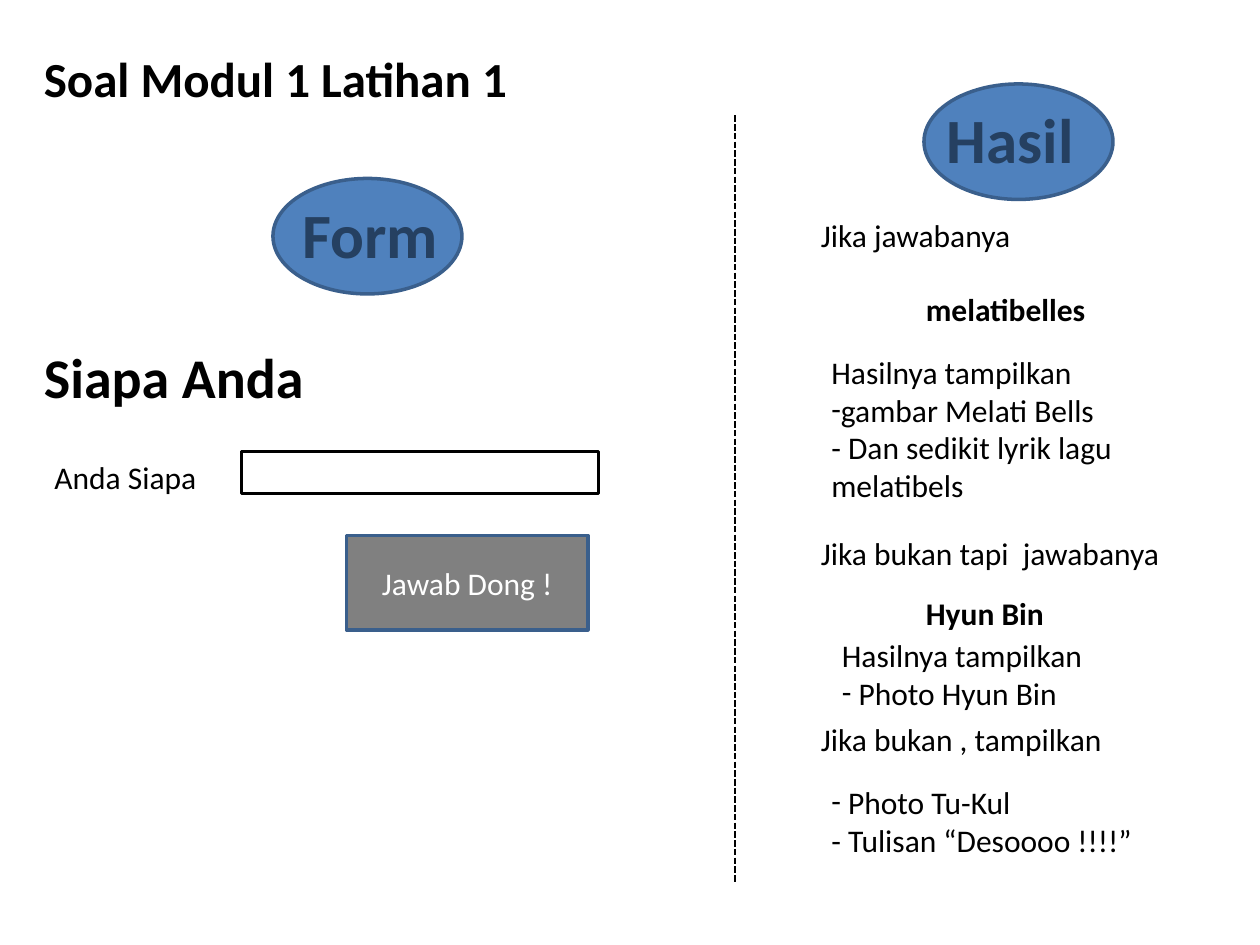
from lxml.etree import SubElement
from pptx import Presentation
from pptx.dml.color import RGBColor
from pptx.enum.dml import MSO_LINE
from pptx.enum.shapes import MSO_CONNECTOR, MSO_SHAPE
from pptx.enum.text import MSO_ANCHOR, MSO_AUTO_SIZE, PP_ALIGN
from pptx.oxml.ns import qn
from pptx.util import Inches, Pt

THEME = {
    "font": "Calibri", "black": "000000", "white": "FFFFFF", "gray": "808080",
    "blue": "4F81BD", "edge": "3A5F8C", "navy": "254061",
    "body": 18, "title": 28, "heading": 32, "badge": 36,
}
COLUMNS, ROWS = 120, 90  # grid of the 10 by 7.5 inch slide

# Shapes: preset, column, row, columns, rows, fill, line, text
SHAPES = [
    (MSO_SHAPE.RECTANGLE, 23, 43, 34, 4, "white", "black", ""),
    (MSO_SHAPE.RECTANGLE, 33, 51, 23, 9, "gray", "edge", "Jawab Dong !"),
    (MSO_SHAPE.OVAL, 26, 17, 18, 11, "blue", "edge", ""),
    (MSO_SHAPE.OVAL, 88, 8, 18, 11, "blue", "edge", ""),
]
DIVIDER = (70, 11, 70, 84)

# Texts: column, row, columns, size, colour, bold, wrap, lines shown, paragraphs
# A paragraph starting with BULLET gets a real dash bullet
BULLET = "•"
TEXTS = [
    (3, 4, 47, "title", "black", True, False, 1, ["Soal Modul 1 Latihan 1"]),
    (27.6, 18, 15.5, "badge", "navy", True, False, 1, ["Form"]),
    (3, 32, 27.4, "heading", "black", True, False, 1, ["Siapa Anda"]),
    (4, 43, 16, "body", "black", False, False, 1, ["Anda Siapa"]),
    (89, 9, 18, "badge", "navy", True, True, 1, ["Hasil"]),
    (77, 20, 21.4, "body", "black", False, False, 1, ["Jika jawabanya "]),
    (87, 27, 17.8, "body", "black", True, False, 1, ["melatibelles"]),
    (78, 33, 36, "body", "black", False, True, 4,
     ["Hasilnya tampilkan ", BULLET + "gambar Melati Bells",
      "- Dan sedikit lyrik lagu melatibels"]),
    (77, 50.25, 35.8, "body", "black", False, False, 1, ["Jika bukan tapi  jawabanya "]),
    (87, 56, 13.8, "body", "black", True, False, 1, ["Hyun Bin"]),
    (79, 60, 36, "body", "black", False, True, 2,
     ["Hasilnya tampilkan ", BULLET + " Photo Hyun Bin"]),
    (77, 68, 30.1, "body", "black", False, False, 1, ["Jika bukan , tampilkan "]),
    (78, 74, 36, "body", "black", False, True, 2,
     [BULLET + " Photo Tu-Kul", "- Tulisan “Desoooo !!!!”"]),
]

deck = Presentation()
deck.slide_width, deck.slide_height = Inches(10), Inches(7.5)
page = deck.slides.add_slide(deck.slide_layouts[6])


def color(name):
    return RGBColor.from_string(THEME[name])


def across(columns):
    return int(deck.slide_width * columns / COLUMNS)


def down(rows):
    return int(deck.slide_height * rows / ROWS)


def style(paragraph, size, ink, bold=False):
    for span in paragraph.runs:
        span.font.name, span.font.size = THEME["font"], Pt(THEME[size])
        span.font.bold, span.font.color.rgb = bold, color(ink)


def add_shape(preset, column, row, columns, rows, fill, line, text):
    shape = page.shapes.add_shape(
        preset, across(column), down(row), across(columns), down(rows))
    shape.shadow.inherit = False
    shape.fill.solid()
    shape.fill.fore_color.rgb = color(fill)
    shape.line.color.rgb, shape.line.width = color(line), Pt(2)
    if text:
        frame = shape.text_frame
        frame.text, frame.vertical_anchor = text, MSO_ANCHOR.MIDDLE
        frame.paragraphs[0].alignment = PP_ALIGN.CENTER
        style(frame.paragraphs[0], "body", "white")


def add_text(column, row, columns, size, ink, bold, wrap, lines, paragraphs):
    height = Pt(THEME[size] * 1.22 * lines) + Inches(0.1)
    box = page.shapes.add_textbox(across(column), down(row), across(columns), height)
    frame = box.text_frame
    frame.word_wrap, frame.auto_size = wrap, MSO_AUTO_SIZE.SHAPE_TO_FIT_TEXT
    frame.text = "\n".join(text.removeprefix(BULLET) for text in paragraphs)
    for para, text in zip(frame.paragraphs, paragraphs):
        style(para, size, ink, bold)
        if text.startswith(BULLET):
            properties = para._p.get_or_add_pPr()
            SubElement(properties, qn("a:buFont"), typeface=THEME["font"])
            SubElement(properties, qn("a:buChar"), char="-")


# Form controls and badges
for item in SHAPES:
    add_shape(*item)

# Dashed divider between form and results
left, top, right, bottom = DIVIDER
divider = page.shapes.add_connector(
    MSO_CONNECTOR.STRAIGHT, across(left), down(top), across(right), down(bottom))
divider.line.color.rgb, divider.line.width = color("black"), Pt(1.25)
divider.line.dash_style = MSO_LINE.SQUARE_DOT
SubElement(divider._element.spPr, qn("a:effectLst"))

# Headings, labels and results
for item in TEXTS:
    add_text(*item)

deck.save("out.pptx")
